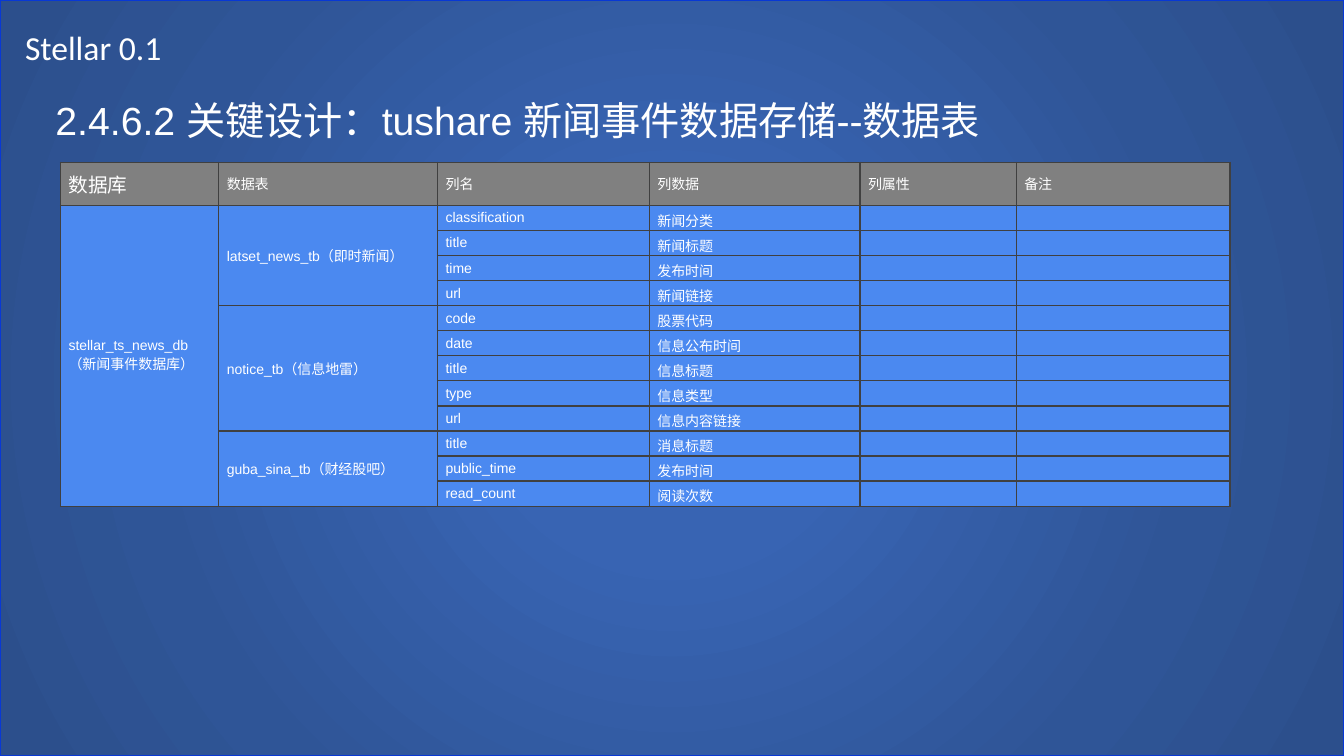
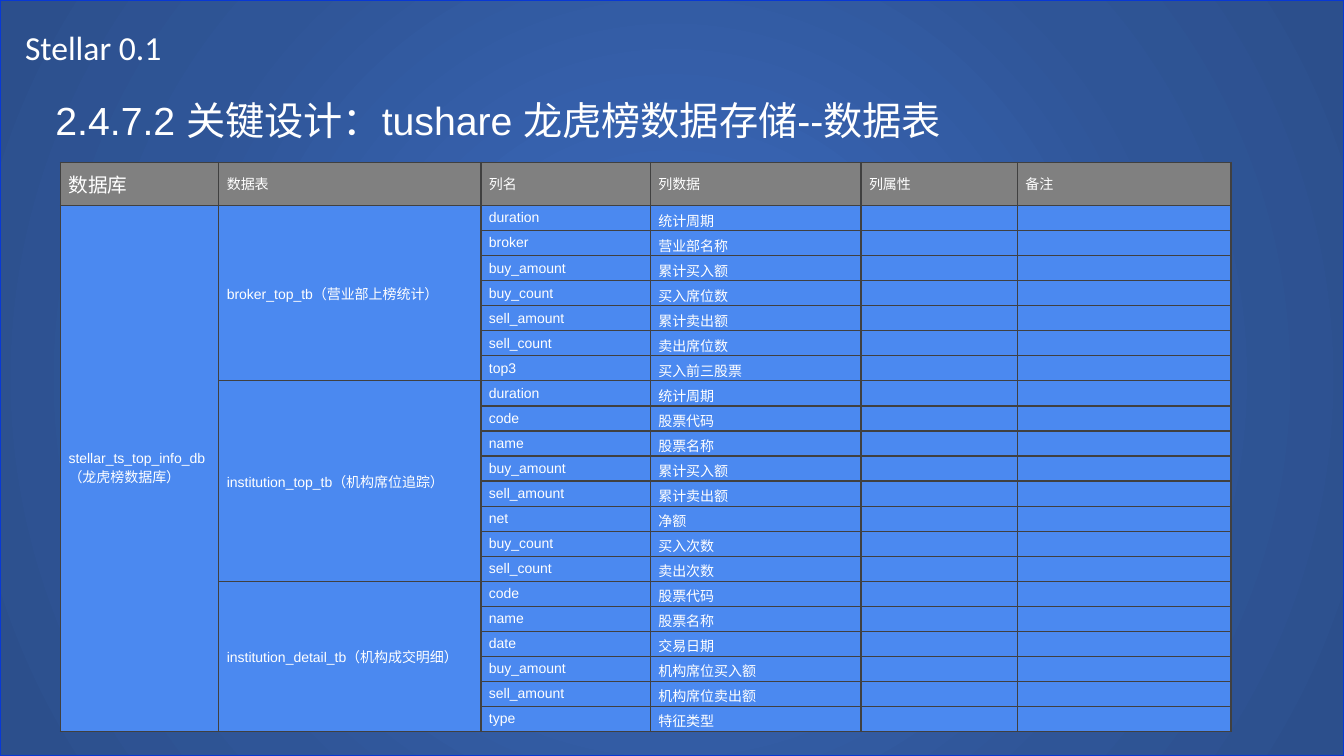
"""Build two slides that list the tables of a database."""
from lxml import etree
from pptx import Presentation
from pptx.dml.color import RGBColor
from pptx.enum.shapes import MSO_SHAPE
from pptx.enum.text import MSO_ANCHOR, MSO_AUTO_SIZE, PP_ALIGN
from pptx.oxml import parse_xml
from pptx.oxml.ns import nsdecls
from pptx.util import Inches, Pt

RECT = MSO_SHAPE.RECTANGLE
TOP, MIDDLE = MSO_ANCHOR.TOP, MSO_ANCHOR.MIDDLE
FIXED = MSO_AUTO_SIZE.NONE
LEFT = PP_ALIGN.LEFT

THEME = {
    "size": (13.33, 7.5),
    "grad": [(0, "3864B3"), (23, "3864B3"), (69, "2F5597"), (97, "2C4F8C")],
    "frame": "0838D5", "grid": "404040", "head": "808080", "body": "4B89F0",
    "brand": {"name": "Calibri", "size": Pt(24)},
    "title": {"name": "Arial", "size": Pt(28)},
    "lead": {"name": "Arial", "size": Pt(14)},
    "cell": {"name": "Arial", "size": Pt(10)},
    "white": "FFFFFF",
}
BRAND = "Stellar 0.1"
BRAND_AT = (0.15, 0.22, 5.04, 0.5)
TITLE_AT = (0.45, 0.91, 11.77, 0.57)
TABLE_AT = (0.6, 1.61)
HEAD_H = 0.43
NOTE_COL = 3
PAD = {"margin_left": Inches(0.08), "margin_right": Inches(0.08),
       "margin_top": Inches(0.04), "margin_bottom": Inches(0.04),
       "vertical_anchor": MIDDLE}
TIGHT = {**PAD, "margin_bottom": 0}
HEADS = ["数据库", "数据表", "列名", "列数据", "列属性", "备注"]

SLIDES = [
    {
        "title": "2.4.6.2 关键设计：tushare 新闻事件数据存储--数据表",
        "base": "stellar_ts_news_db\n（新闻事件数据库）",
        "cols": [1.57, 2.17, 2.1, 2.09, 1.55, 2.12],
        "height": 3.33,
        "groups": [
            ("latset_news_tb（即时新闻）", [
                ("classification", "新闻分类"), ("title", "新闻标题"),
                ("time", "发布时间"), ("url", "新闻链接")]),
            ("notice_tb（信息地雷）", [
                ("code", "股票代码"), ("date", "信息公布时间"),
                ("title", "信息标题"), ("type", "信息类型"),
                ("url", "信息内容链接")]),
            ("guba_sina_tb（财经股吧）", [
                ("title", "消息标题"), ("public_time", "发布时间"),
                ("read_count", "阅读次数")]),
        ],
    },
    {
        "title": "2.4.7.2 关键设计：tushare 龙虎榜数据存储--数据表",
        "base": "stellar_ts_top_info_db\n（龙虎榜数据库）",
        "cols": [1.57, 2.6, 1.68, 2.09, 1.55, 2.12],
        "height": 5.5,
        "groups": [
            ("broker_top_tb（营业部上榜统计）", [
                ("duration", "统计周期"), ("broker", "营业部名称"),
                ("buy_amount", "累计买入额"), ("buy_count", "买入席位数"),
                ("sell_amount", "累计卖出额"), ("sell_count", "卖出席位数"),
                ("top3", "买入前三股票")]),
            ("institution_top_tb（机构席位追踪）", [
                ("duration", "统计周期"), ("code", "股票代码"),
                ("name", "股票名称"), ("buy_amount", "累计买入额"),
                ("sell_amount", "累计卖出额"), ("net", "净额"),
                ("buy_count", "买入次数"), ("sell_count", "卖出次数")]),
            ("institution_detail_tb（机构成交明细）", [
                ("code", "股票代码"), ("name", "股票名称"),
                ("date", "交易日期"), ("buy_amount", "机构席位买入额"),
                ("sell_amount", "机构席位卖出额"), ("type", "特征类型")]),
        ],
    },
]


def tint(name):
    return RGBColor.from_string(THEME[name])


def apply(item, values):
    for key, value in values.items():
        setattr(item, key, value)


def write(frame, text, style):
    frame.text = text
    for para in frame.paragraphs:
        for run in para.runs:
            apply(run.font, THEME[style])
            run.font.color.rgb = tint("white")
        if not para.runs:
            end = etree.SubElement(para._p, para._p.tag[:-1] + "endParaRPr")
            end.set("sz", str(int(THEME[style]["size"].pt * 100)))


def place(item, box):
    apply(item, dict(zip(("left", "top", "width", "height"), map(Inches, box))))


def add_back(slide):
    back = slide.shapes.add_shape(RECT, 0, 0, *map(Inches, THEME["size"]))
    back.shadow.inherit = False
    stops = "".join(f'<a:gs pos="{pos * 1000}"><a:srgbClr val="{color}"/></a:gs>'
                    for pos, color in THEME["grad"])
    back._element.spPr.insert(2, parse_xml(
        f'<a:gradFill {nsdecls("a")} rotWithShape="1"><a:gsLst>{stops}</a:gsLst>'
        '<a:path path="circle"><a:fillToRect l="50000" t="50000" r="50000" '
        'b="50000"/></a:path></a:gradFill>'))
    back.line.color.rgb = tint("frame")
    back.line.width = Pt(1)
    slide.shapes._spTree.insert(2, back._element)


def add_text(slide, title):
    head = slide.shapes.title
    place(head, TITLE_AT)
    brand = slide.shapes.add_textbox(*map(Inches, BRAND_AT))
    for item, text, style in ((head, title, "title"), (brand, BRAND, "brand")):
        frame = item.text_frame
        apply(frame, {"word_wrap": True, "auto_size": FIXED,
                      "vertical_anchor": TOP})
        write(frame, text, style)
        frame.paragraphs[0].alignment = LEFT


def style_cell(cell, text, fill, style, pad):
    apply(cell, pad)
    write(cell.text_frame, text, style)
    cell.fill.solid()
    cell.fill.fore_color.rgb = tint(fill)
    props = cell._tc.get_or_add_tcPr()
    for spot, side in enumerate("LRTB"):
        props.insert(spot, parse_xml(
            f'<a:ln{side} {nsdecls("a")} w="12700"><a:solidFill>'
            f'<a:srgbClr val="{THEME["grid"]}"/></a:solidFill></a:ln{side}>'))


def add_grid(slide, data):
    rows, spans = [HEADS], []
    for label, fields in data["groups"]:
        spans.append((len(rows), len(fields), 1))
        for spot, pair in enumerate(fields):
            base = data["base"] if len(rows) == 1 else ""
            rows.append([base, "" if spot else label, *pair, "", ""])
    count = len(rows) - 1
    spans.append((1, count, 0))
    size = (sum(data["cols"]), data["height"])
    table = slide.shapes.add_table(
        len(rows), len(HEADS), *map(Inches, TABLE_AT + size)).table
    apply(table, {"first_row": False, "horz_banding": False})
    for col, width in zip(table.columns, data["cols"]):
        col.width = Inches(width)
    step = (data["height"] - HEAD_H) / count
    for r, texts in enumerate(rows):
        table.rows[r].height = Inches(step if r else HEAD_H)
        for c, text in enumerate(texts):
            style_cell(table.cell(r, c), text, "body" if r else "head",
                       "cell" if r or c else "lead",
                       TIGHT if r and c == NOTE_COL else PAD)
    for first, span, c in spans:
        table.cell(first, c).merge(table.cell(first + span - 1, c))


def main():
    deck = Presentation()
    deck.slide_width, deck.slide_height = map(Inches, THEME["size"])
    for data in SLIDES:
        slide = deck.slides.add_slide(deck.slide_layouts[5])
        add_back(slide)
        add_text(slide, data["title"])
        add_grid(slide, data)
    deck.save("out.pptx")


if __name__ == "__main__":
    main()
